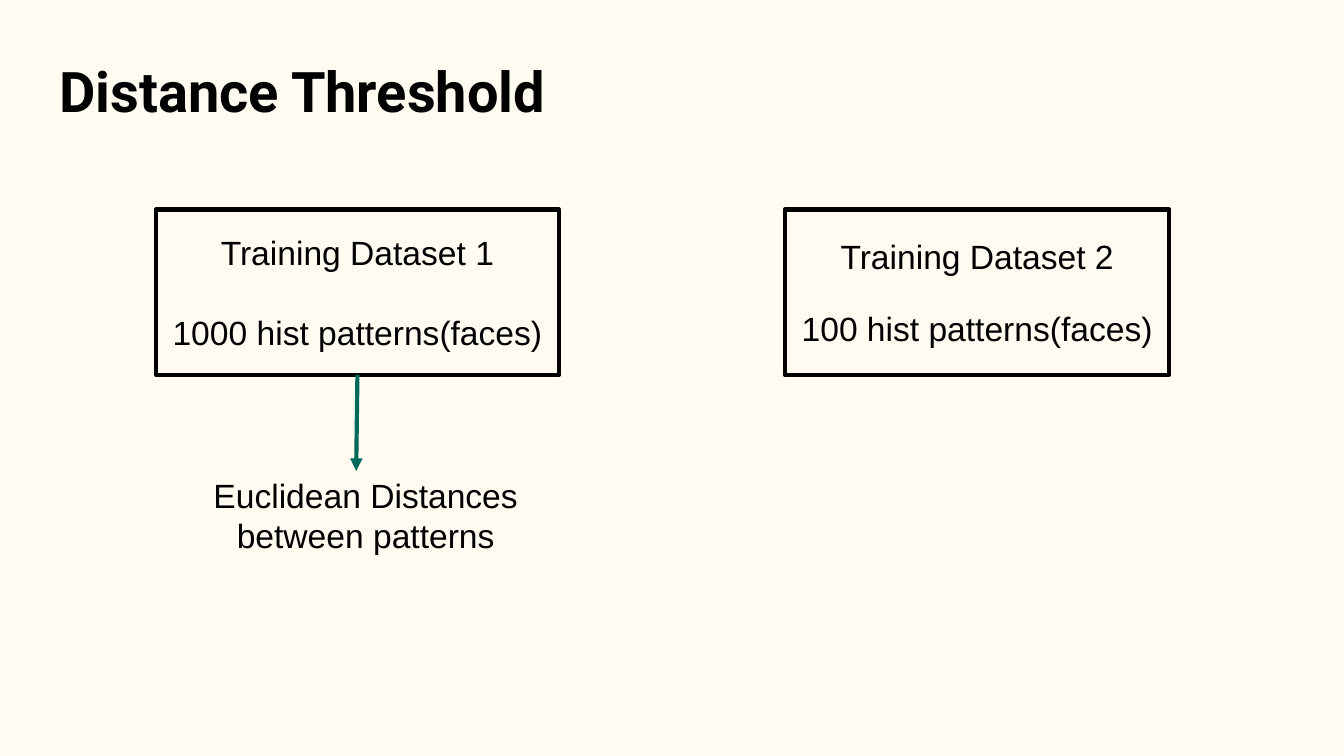
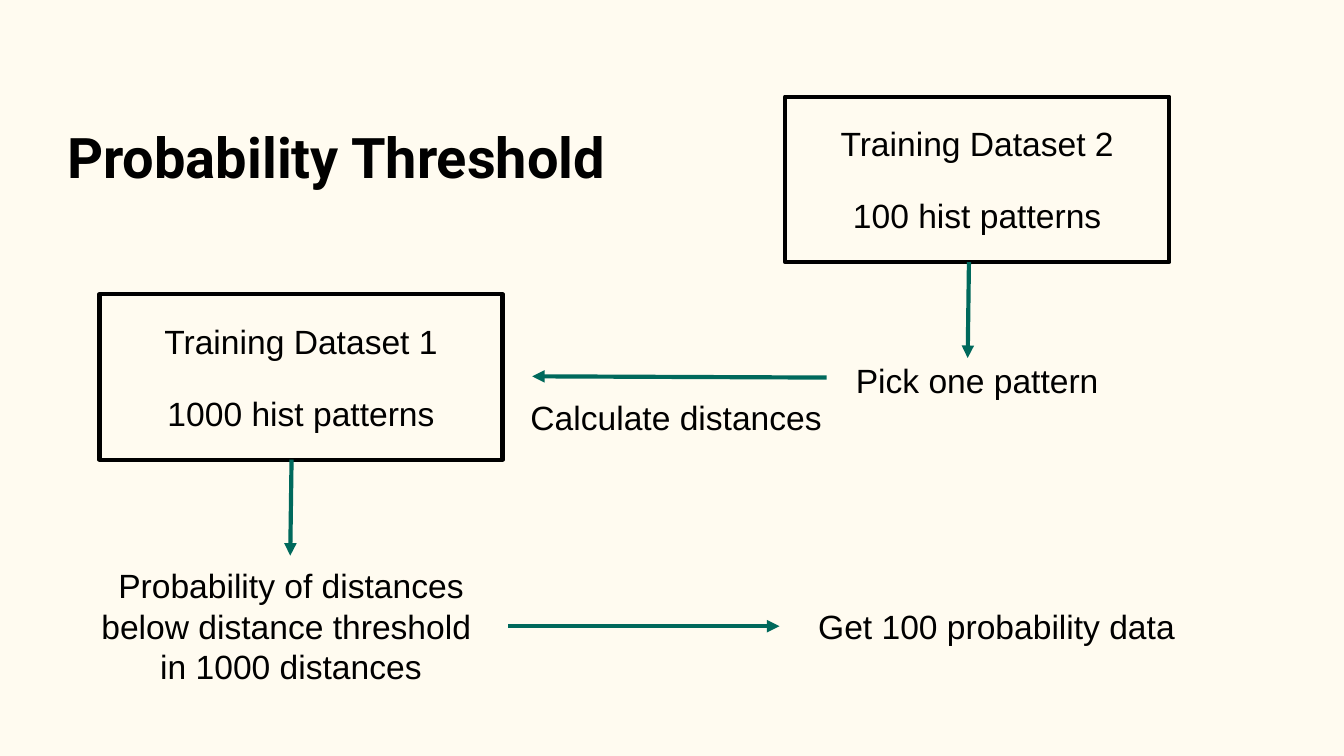
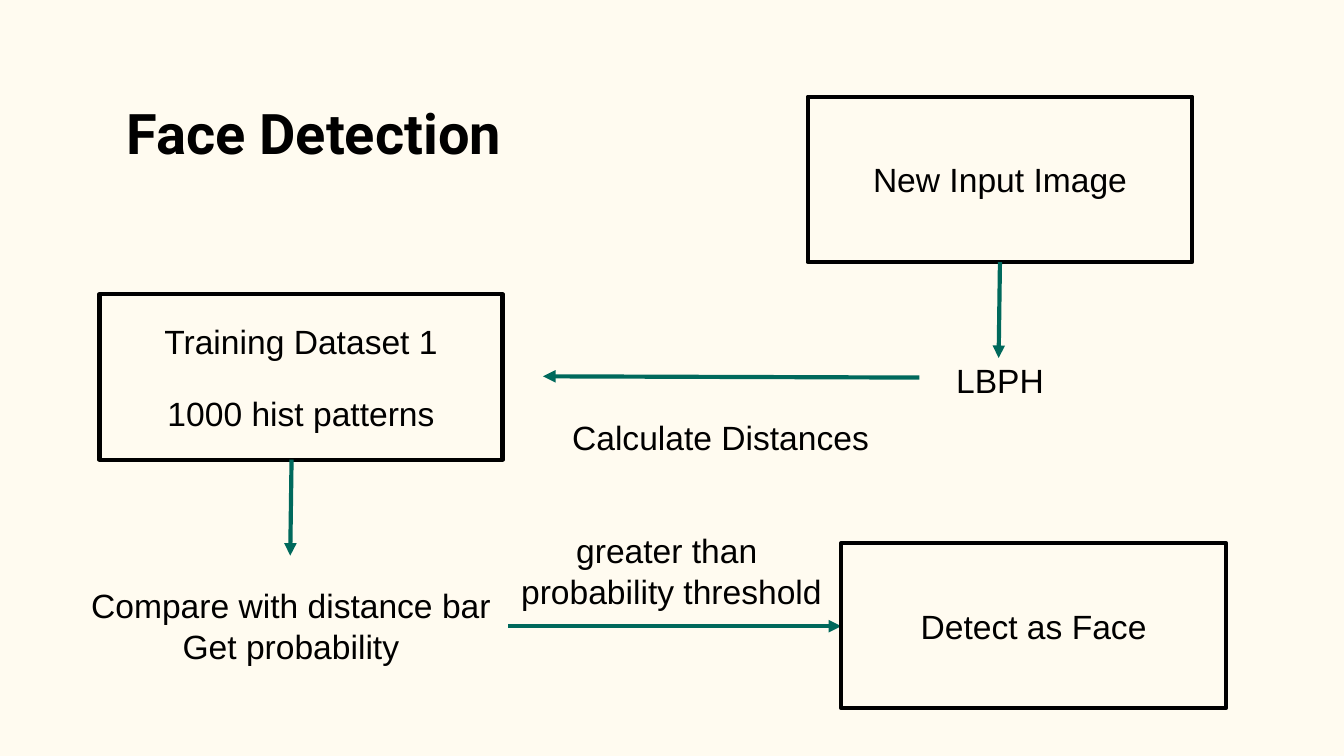
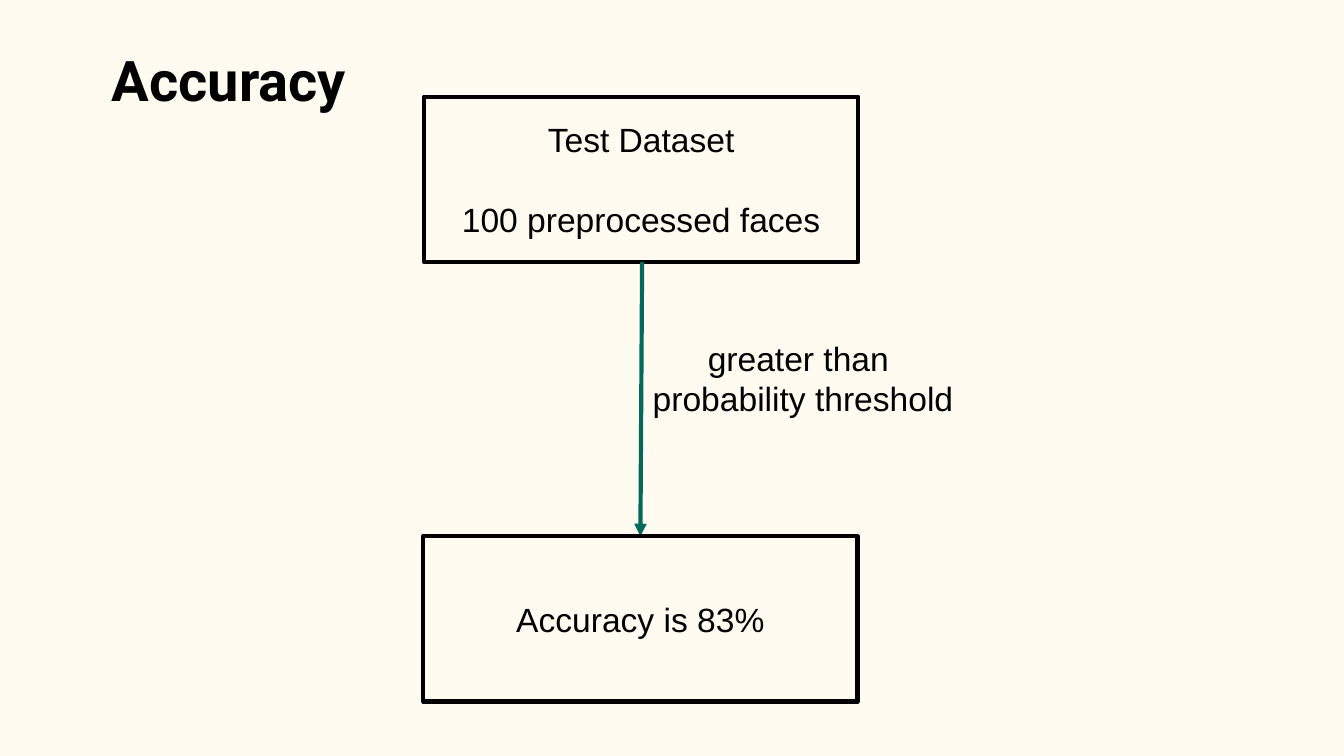
from collections import namedtuple
from dataclasses import dataclass

from lxml import etree
from pptx import Presentation
from pptx.dml.color import RGBColor
from pptx.enum import shapes, text
from pptx.oxml import ns
from pptx.util import Pt

Box = namedtuple("Box", "x y w h")


@dataclass(frozen=True)
class Theme:
    paper: RGBColor = RGBColor(0xFF, 0xFB, 0xF0)
    ink: RGBColor = RGBColor(0, 0, 0)
    arrow: RGBColor = RGBColor(0x00, 0x69, 0x5C)
    title_font: str = "Roboto"
    body_font: str = "Arial"
    title_size: float = 30
    body_size: float = 18
    line: float = 2.25
    inset: float = 7.2
    wide_gap: float = 21.5   # between the lines of a roomy node
    gap: float = 17          # between the lines of a usual node


T = Theme()
PAGE = Box(0, 0, 720, 405)
NODE_W, NODE_H = 206, 88.6
TRAINING_W = 216
DROP = 51.4                  # length of the short arrow below a node


# ---- Basic parts ----
def place(sp, box):
    sp.left, sp.top, sp.width, sp.height = (Pt(v) for v in box)


def within(page, x, y, w, h):
    return Box(page.x + x, page.y + y, w, h)


def write(sp, *lines, font=T.body_font, size=T.body_size, bold=False, gap=0,
          align=text.PP_ALIGN.CENTER, anchor=text.MSO_ANCHOR.MIDDLE):
    tf = sp.text_frame
    tf.word_wrap = True
    tf.auto_size = text.MSO_AUTO_SIZE.NONE
    tf.vertical_anchor = anchor
    tf.margin_left = tf.margin_right = Pt(T.inset)
    tf.margin_top = tf.margin_bottom = Pt(T.inset)
    for i, line in enumerate(lines):
        p = tf.add_paragraph() if i else tf.paragraphs[0]
        p.alignment = align
        p.space_before = Pt(gap if i else 0)
        r = p.add_run()
        r.text = line
        r.font.name, r.font.size, r.font.bold = font, Pt(size), bold
        r.font.color.rgb = T.ink


def titled_slide(prs, title, box):
    s = prs.slides.add_slide(prs.slide_layouts.get_by_name("Title Only"))
    place(s.shapes.title, box)
    write(s.shapes.title, title, font=T.title_font, size=T.title_size, bold=True,
          align=text.PP_ALIGN.LEFT, anchor=text.MSO_ANCHOR.TOP)
    return s


def label(s, box, *lines):
    write(s.shapes.add_textbox(*(Pt(v) for v in box)), *lines)


def node(s, box, *lines, gap=T.gap):
    sp = s.shapes.add_shape(shapes.MSO_SHAPE.RECTANGLE, *(Pt(v) for v in box))
    sp.shadow.inherit = False
    sp.fill.background()
    sp.line.color.rgb, sp.line.width = T.ink, Pt(T.line)
    write(sp, *lines, gap=gap)


def arrow(s, x1, y1, x2, y2):
    c = s.shapes.add_connector(shapes.MSO_CONNECTOR.STRAIGHT,
                               Pt(x1), Pt(y1), Pt(x2), Pt(y2))
    c.line.color.rgb, c.line.width = T.arrow, Pt(T.line)
    props = c._element.spPr
    etree.SubElement(props.find(ns.qn("a:ln")), ns.qn("a:tailEnd"), type="triangle")
    etree.SubElement(props, ns.qn("a:effectLst"))


# ---- Node with a short arrow down to a caption ----
def station(s, box, lines, drop_x, caption_box, caption, gap=T.gap):
    """drop_x and caption_box count from the lower left corner of the node."""
    bottom = box.y + box.h
    node(s, box, *lines, gap=gap)
    arrow(s, box.x + drop_x, bottom, box.x + drop_x - 0.7, bottom + DROP)
    label(s, within(Box(box.x, bottom, 0, 0), *caption_box), *caption)


# ---- Two datasets side by side ----
def distance_slide(prs, page):
    s = titled_slide(prs, "Distance Threshold", within(page, 24.5, 23, 671, 48.2))
    station(s, within(page, 83.5, 112.3, TRAINING_W, NODE_H),
            ["Training Dataset 1", "1000 hist patterns(faces)"], 108,
            (9.4, 51, 206, 48.2), ["Euclidean Distances between patterns"],
            gap=T.wide_gap)
    node(s, within(page, 420.5, 112.3, NODE_W, NODE_H),
         "Training Dataset 2", "100 hist patterns(faces)")


# ---- Input compared with the training set, then a result ----
def comparison_slide(prs, page, title, title_box, source_x, source, drop_x, picked,
                     span, distances, distances_box, outcome, result_x):
    s = titled_slide(prs, title, within(page, *title_box))
    station(s, within(page, source_x, 51.8, NODE_W, NODE_H), source, drop_x,
            (0, 51.8, NODE_W, 22.3), [picked])
    start, end = (page.x + x for x in span)
    arrow(s, start, page.y + 202.3, end, page.y + 201.6)
    label(s, within(page, *distances_box), distances)
    station(s, within(page, 53.3, 157.7, TRAINING_W, NODE_H),
            ["Training Dataset 1", "1000 hist patterns"], 102.9,
            (-13.7, 81.3, 232.6, 15.1), outcome)
    arrow(s, page.x + 272.2, page.y + 335.5, page.x + result_x, page.y + 335.5)
    return s


def probability_slide(prs, page):
    s = comparison_slide(
        prs, page, "Probability Threshold", (28.8, 58.3, 671, 48.2),
        source_x=420.5, source=["Training Dataset 2", "100 hist patterns"],
        drop_x=98.6, picked="Pick one pattern", span=(442.8, 285.1),
        distances="Calculate distances", distances_box=(259.2, 203, 206, 41),
        outcome=["Probability of distances below distance threshold ",
                 "in 1000 distances"],
        result_x=417.6)
    label(s, within(page, 417.6, 327.6, 232.6, 15.1), "Get 100 probability data")


def threshold_label(s, page, x, y):
    label(s, within(page, x, y, 254.2, 15.1), "greater than ", "probability threshold")


def detection_slide(prs, page):
    s = comparison_slide(
        prs, page, "Face Detection", (60.5, 45.4, 615, 48.2),
        source_x=432.7, source=["New Input Image"],
        drop_x=103, picked="LBPH", span=(492.5, 290.9),
        distances="Calculate Distances", distances_box=(283, 213.8, 206, 41),
        outcome=["Compare with distance bar", "Get probability"],
        result_x=450.7)
    threshold_label(s, page, 232.6, 298.1)
    node(s, within(page, 450.7, 290.9, NODE_W, NODE_H), "Detect as Face")


# ---- Test set above, score below ----
def accuracy_slide(prs, page):
    s = titled_slide(prs, "Accuracy", within(page, 52.6, 17.3, 615, 48.2))
    test = within(page, 227.2, 51.8, 232.6, NODE_H)
    score = within(page, 226.8, 287.3, 232.6, NODE_H)
    node(s, test, "Test Dataset", "100 preprocessed faces", gap=T.wide_gap)
    arrow(s, test.x + test.w / 2 + 0.5, test.y + test.h, score.x + score.w / 2, score.y)
    threshold_label(s, page, 303.1, 195.1)
    node(s, score, "Accuracy is 83%")


def main():
    prs = Presentation()
    prs.slide_width, prs.slide_height = Pt(PAGE.w), Pt(PAGE.h)
    fill = prs.slide_master.background.fill
    fill.solid()
    fill.fore_color.rgb = T.paper
    for build in (distance_slide, probability_slide, detection_slide, accuracy_slide):
        build(prs, PAGE)
    prs.save("out.pptx")


if __name__ == "__main__":
    main()
